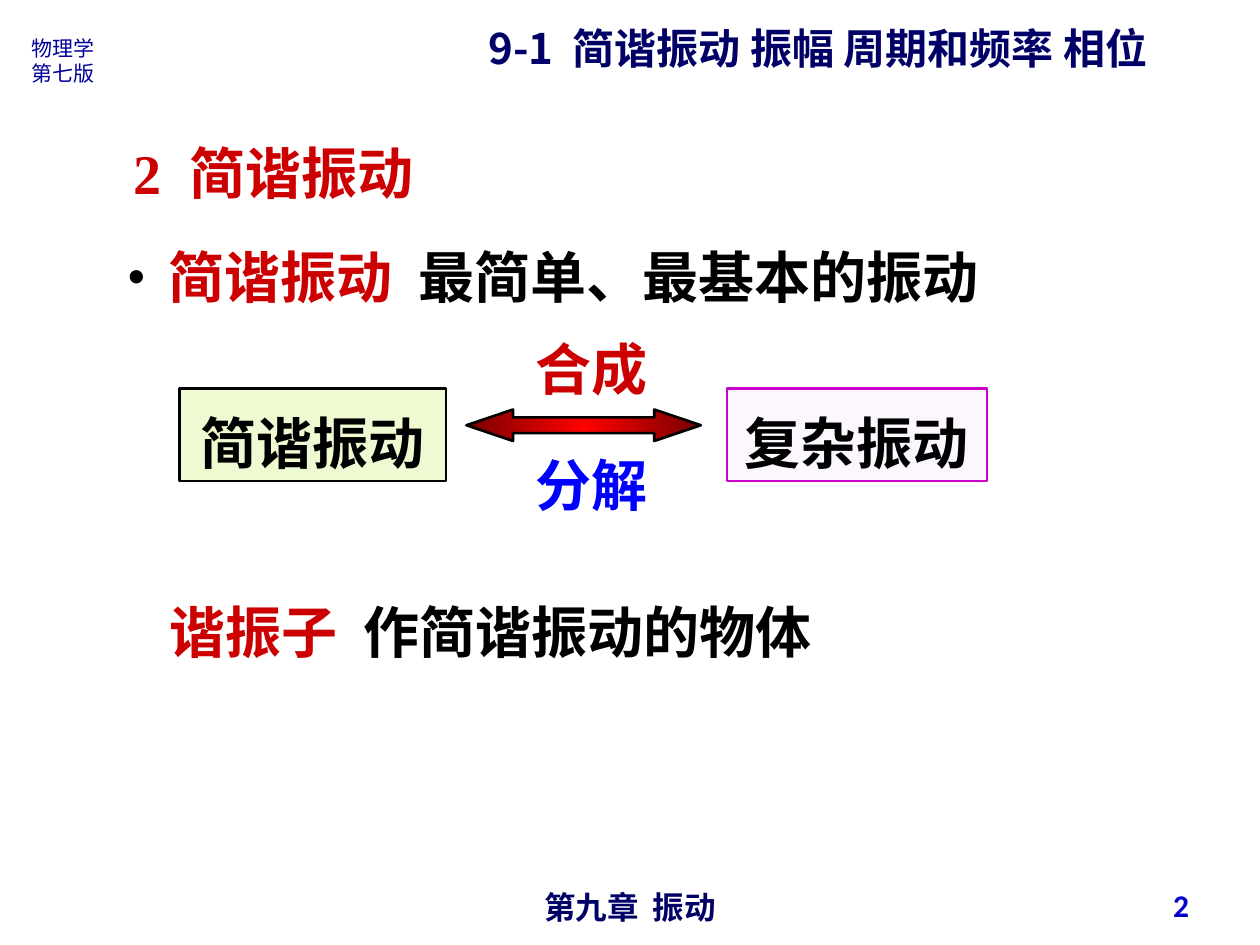
from copy import deepcopy

from lxml.etree import SubElement
from pptx import Presentation
from pptx.dml.color import RGBColor
from pptx.enum.shapes import MSO_SHAPE
from pptx.enum.text import MSO_ANCHOR, PP_ALIGN
from pptx.oxml.ns import qn
from pptx.util import Pt

COLORS = {
    "black": "000000",
    "red": "CC0000",
    "blue": "0000FF",
    "navy": "000066",
    "label": "000099",
    "number": "0000CC",
    "green_fill": "EDFAD2",
    "purple_fill": "FCF7FF",
    "purple": "CC00CC",
    "arrow_edge": "760000",
    "arrow_middle": "FF0000",
}
CJK = "Noto Sans CJK SC"


def rgb(name):
    return RGBColor.from_string(COLORS[name])


def write(s, *parts, size=32, bold=True, font=CJK, align=PP_ALIGN.LEFT,
          spacing=None, bullet=False):
    """Fill the shape with one paragraph of (text, color[, size]) parts."""
    tf = s.text_frame
    tf.word_wrap = True
    tf.vertical_anchor = MSO_ANCHOR.TOP
    p = tf.paragraphs[0]
    p.alignment = align
    p.line_spacing = spacing
    if bullet:
        pPr = p._p.get_or_add_pPr()
        pPr.set("marL", str(Pt(17)))
        pPr.set("indent", str(-Pt(17)))
        clr = SubElement(pPr, qn("a:buClr"))
        SubElement(clr, qn("a:srgbClr"), val=COLORS["black"])
        SubElement(pPr, qn("a:buFont"), typeface="Arial")
        SubElement(pPr, qn("a:buChar"), char="•")
    for text, color, *own_size in parts:
        r = p.add_run()
        r.text = text
        r.font.size = Pt(own_size[0] if own_size else size)
        r.font.bold = bold
        r.font.name = font
        r.font.color.rgb = rgb(color)
        SubElement(r._r.get_or_add_rPr(), qn("a:ea"), typeface=CJK)


prs = Presentation()
prs.slide_width, prs.slide_height = Pt(720), Pt(540)
slide = prs.slides.add_slide(prs.slide_layouts[6])
shapes = slide.shapes

# Header, footer, headings and arrow labels
texts = [
    ((272, 9.5, 439, 36), [("9-1  简谐振动 振幅 周期和频率 相位", "navy")],
     dict(size=24)),
    ((246, 504, 228, 21), [("第九章  振动", "navy")],
     dict(size=18, font="Arial", align=PP_ALIGN.CENTER)),
    ((518.5, 502.5, 168, 32.5), [("2", "number")],
     dict(size=18, font="Calibri", align=PP_ALIGN.RIGHT)),
    ((10, 16.5, 52, 36), [("物理学第七版", "label")],
     dict(size=12, bold=False, align=PP_ALIGN.CENTER)),
    ((69, 75.5, 405, 46), [("2  简谐振动", "red")],
     dict(font="Times New Roman")),
    ((66, 127.5, 603, 53),
     [(" ", "black", 28), ("简谐振动  ", "red"), ("最简单、最基本的振动", "black")],
     dict(spacing=1.2, bullet=True)),
    ((90, 330, 432, 53), [("谐振子  ", "red"), ("作简谐振动的物体", "black")],
     dict(spacing=1.2)),
    ((299, 180, 97, 53), [("合成", "red")], dict(spacing=1.2)),
    ((299, 246.5, 97, 53), [("分解", "blue")], dict(spacing=1.2)),
]
for box, parts, style in texts:
    s = shapes.add_textbox(*map(Pt, box))
    write(s, *parts, **style)

# The two kinds of vibration
for left, width, text, fill, line in [
    (102.5, 152.5, "简谐振动", "green_fill", "black"),
    (415.5, 148.5, "复杂振动", "purple_fill", "purple"),
]:
    s = shapes.add_shape(MSO_SHAPE.RECTANGLE, Pt(left), Pt(222), Pt(width), Pt(53))
    s.shadow.inherit = False
    s.fill.solid()
    s.fill.fore_color.rgb = rgb(fill)
    s.line.color.rgb = rgb(line)
    s.line.width = Pt(1.5)
    write(s, (text, "black"), align=PP_ALIGN.CENTER, spacing=1.2)

# Double arrow, dark at both ends and bright in the middle
arrow = shapes.add_shape(MSO_SHAPE.LEFT_RIGHT_ARROW,
                         Pt(266.5), Pt(234), Pt(134), Pt(18))
arrow.shadow.inherit = False
arrow.adjustments[0], arrow.adjustments[1] = 0.5, 1.48
arrow.line.color.rgb = rgb("black")
arrow.line.width = Pt(1.5)
arrow.fill.gradient()
arrow.fill.gradient_angle = 0
first = arrow.fill._fill._gradFill.gsLst[0]
first.addnext(deepcopy(first))
for stop, position, color in zip(arrow.fill.gradient_stops, (0, 0.5, 1),
                                 ("arrow_edge", "arrow_middle", "arrow_edge")):
    stop.position = position
    stop.color.rgb = rgb(color)

prs.save("out.pptx")
